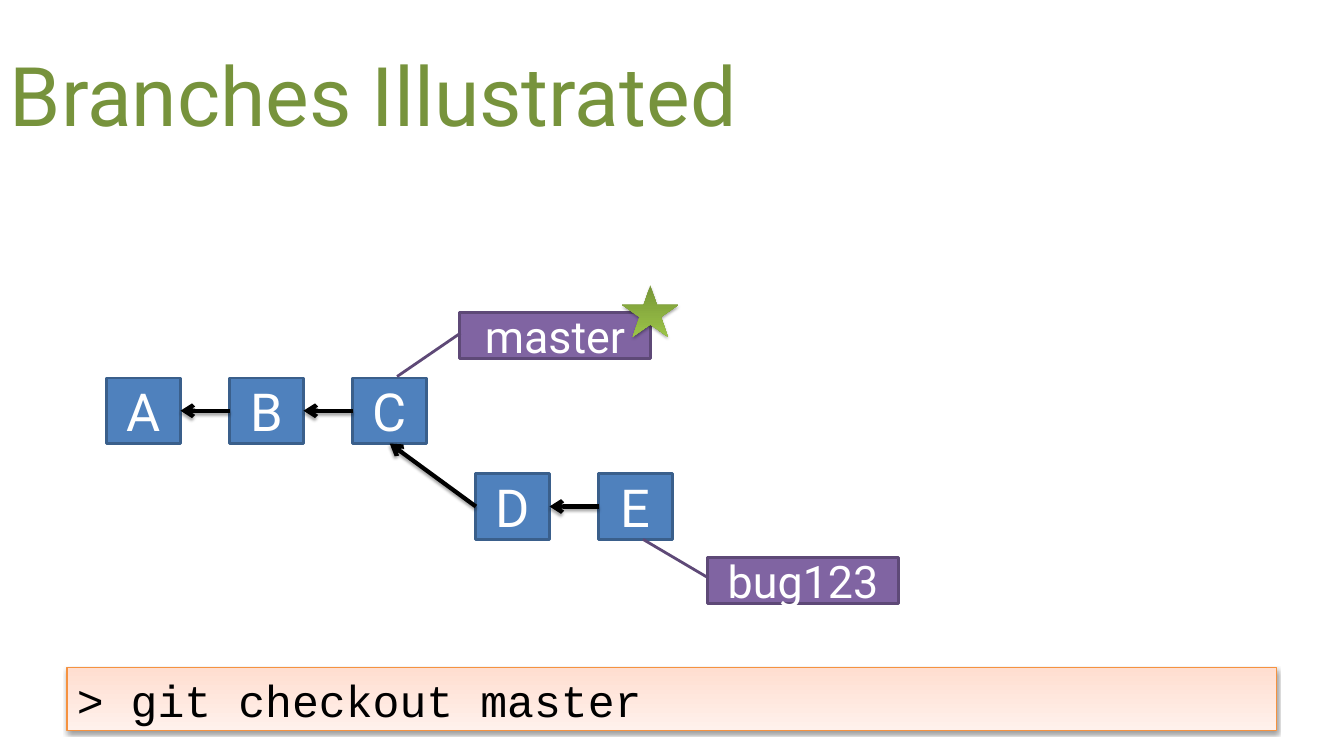
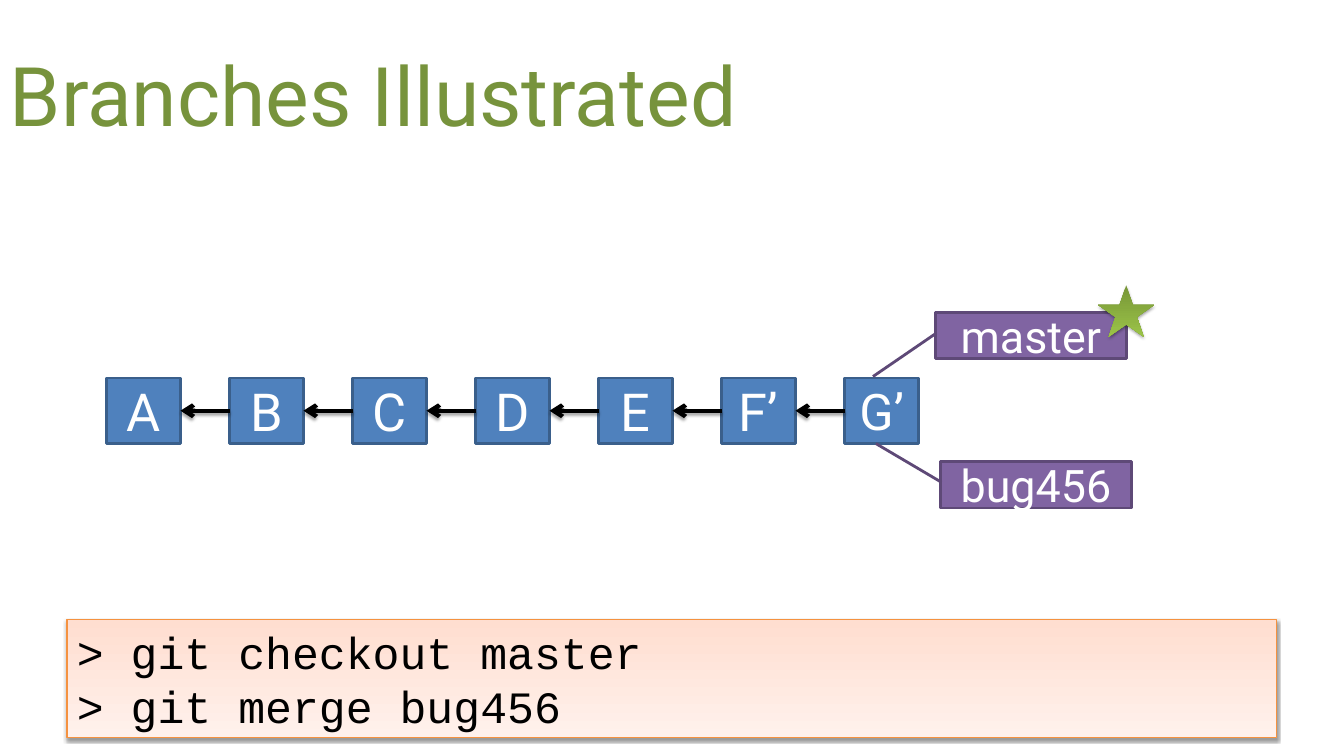
from lxml import etree
from pptx import Presentation
from pptx.dml.color import RGBColor
from pptx.enum.shapes import MSO_CONNECTOR, MSO_SHAPE
from pptx.enum.text import MSO_ANCHOR, PP_ALIGN
from pptx.oxml.ns import qn
from pptx.util import Inches, Pt

RECTANGLE = MSO_SHAPE.RECTANGLE
CALLOUT = MSO_SHAPE.LINE_CALLOUT_1
STAR = MSO_SHAPE.STAR_5_POINT
STRAIGHT = MSO_CONNECTOR.STRAIGHT
LEFT, CENTER = PP_ALIGN.LEFT, PP_ALIGN.CENTER
TOP, MIDDLE = MSO_ANCHOR.TOP, MSO_ANCHOR.MIDDLE
BOTTOM_SIDE, LEFT_SIDE, RIGHT_SIDE = 2, 1, 3

SLIDE_W, SLIDE_H = 13.33, 7.5
GREEN, WHITE, BLACK = "77933C", "FFFFFF", "000000"
COMMIT_FILL, COMMIT_LINE = "4F81BD", "3A5F8B"
BRANCH_FILL, BRANCH_LINE = "8064A2", "5E4977"
COMMAND_GRADIENT, COMMAND_LINE = ("FFDED0", "FFF1EC"), "F59240"
STAR_GRADIENT = ("779637", "9BC348")
BODY_FONT, CODE_FONT = "Roboto", "Courier New"

GRID_LEFT, GRID_TOP = 1.06, 3.75
COLUMN_STEP, ROW_STEP = 1.22, 0.95
COMMIT_W, COMMIT_H = 0.73, 0.65
BRANCH_W, BRANCH_H = 1.89, 0.46
STAR_W, STAR_H = 0.56, 0.51
COMMAND_W, COMMAND_LINE_H = 12, 0.54

# Callout line: start y, start x, end y, end x, as shares of the label's size
LINE_TO_COMMIT_BELOW = (0.446, 0.004, 1.383, -0.329)
LINE_TO_COMMIT_ABOVE = (0.446, 0.004, -0.389, -0.34)


def rgb(value):
    return RGBColor.from_string(value)


def column_left(column):
    return GRID_LEFT + column * COLUMN_STEP


def row_top(row):
    return GRID_TOP + row * ROW_STEP


def add_shadow(effects, distance, opacity):
    """Put a downward black shadow into an effect list."""
    shadow = etree.SubElement(
        effects, qn("a:outerShdw"), blurRad=str(Pt(2)), dist=str(Pt(distance)),
        dir="5400000", rotWithShape="0")
    color = etree.SubElement(shadow, qn("a:srgbClr"), val=BLACK)
    etree.SubElement(color, qn("a:alpha"), val=str(opacity * 1000))


def write(shape, text, size, color=WHITE, font=BODY_FONT, align=CENTER, anchor=MIDDLE):
    frame = shape.text_frame
    frame.word_wrap = True
    frame.vertical_anchor = anchor
    frame.text = text
    for paragraph in frame.paragraphs:
        paragraph.alignment = align
        paragraph.font.size = Pt(size)
        paragraph.font.name = font
        paragraph.font.color.rgb = rgb(color)


def add_box(slide, preset, left, top, width, height, fill, line=None, line_width=2,
            shadow=None):
    """Draw a preset shape; a pair of fill colours makes a vertical gradient."""
    box = slide.shapes.add_shape(
        preset, Inches(left), Inches(top), Inches(width), Inches(height))
    box.shadow.inherit = False
    if isinstance(fill, str):
        box.fill.solid()
        box.fill.fore_color.rgb = rgb(fill)
    else:
        box.fill.gradient()
        box.fill.gradient_angle = 270
        for stop, color in zip(box.fill.gradient_stops, fill):
            stop.color.rgb = rgb(color)
    if line:
        box.line.color.rgb = rgb(line)
        box.line.width = Pt(line_width)
    else:
        box.line.fill.background()
    if shadow:
        add_shadow(box._element.spPr.find(qn("a:effectLst")), *shadow)
    return box


def add_title(slide, text):
    title = slide.shapes.add_textbox(0, Inches(0.3), Inches(12), Inches(1.25))
    write(title, text, 58.7, color=GREEN, align=LEFT)


def add_commit(slide, name, column, row=0, size=37.4):
    commit = add_box(slide, RECTANGLE, column_left(column), row_top(row),
                     COMMIT_W, COMMIT_H, COMMIT_FILL, COMMIT_LINE)
    write(commit, name, size)
    return commit


def add_parent_arrow(slide, child, parent, parent_side=RIGHT_SIDE):
    arrow = slide.shapes.add_connector(STRAIGHT, 0, 0, 0, 0)
    arrow.begin_connect(child, LEFT_SIDE)
    arrow.end_connect(parent, parent_side)
    arrow.line.color.rgb = rgb(BLACK)
    arrow.line.width = Pt(3)
    etree.SubElement(arrow.line._get_or_add_ln(), qn("a:tailEnd"), type="arrow")
    effects = etree.SubElement(arrow._element.spPr, qn("a:effectLst"))
    add_shadow(effects, 1.8, 35)


def add_branch(slide, name, left, top, callout_line):
    branch = add_box(slide, CALLOUT, left, top, BRANCH_W, BRANCH_H,
                     BRANCH_FILL, BRANCH_LINE)
    for index, share in enumerate(callout_line):
        branch.adjustments[index] = share
    write(branch, name, 32)


def add_current_branch(slide, name, left):
    """Label above the first row, with a star on its top right corner."""
    top = row_top(0) - 0.65
    add_branch(slide, name, left, top, LINE_TO_COMMIT_BELOW)
    add_box(slide, STAR, left + BRANCH_W - STAR_W / 2, top - 0.27,
            STAR_W, STAR_H, STAR_GRADIENT, shadow=(1.8, 35))


def add_other_branch(slide, name, left, row):
    add_branch(slide, name, left, row_top(row) + 0.83, LINE_TO_COMMIT_ABOVE)


def add_commands(slide, top, commands):
    panel = add_box(slide, RECTANGLE, (SLIDE_W - COMMAND_W) / 2, top, COMMAND_W,
                    0.09 + COMMAND_LINE_H * len(commands), COMMAND_GRADIENT,
                    COMMAND_LINE, line_width=0.75, shadow=(1.6, 38))
    write(panel, "\n".join(commands), 32, color=BLACK, font=CODE_FONT,
          align=LEFT, anchor=TOP)


def add_chain(slide, commits):
    for parent, child in zip(commits, commits[1:]):
        add_parent_arrow(slide, child, parent)


def new_slide(deck):
    slide = deck.slides.add_slide(deck.slide_layouts[6])
    add_title(slide, "Branches Illustrated")
    return slide


def build_checkout(deck):
    slide = new_slide(deck)
    main_line = [add_commit(slide, name, column) for column, name in enumerate("ABC")]
    bug_line = [add_commit(slide, name, column, row=1)
                for column, name in enumerate("DE", start=3)]
    add_chain(slide, main_line)
    add_chain(slide, bug_line)
    add_parent_arrow(slide, bug_line[0], main_line[-1], BOTTOM_SIDE)
    add_current_branch(slide, "master", column_left(2) + 1.06)
    add_other_branch(slide, "bug123", column_left(4) + 1.08, row=1)
    add_commands(slide, 6.62, ["> git checkout master"])


def build_merge(deck):
    slide = new_slide(deck)
    names = ["A", "B", "C", "D", "E", "F’"]
    commits = [add_commit(slide, name, column) for column, name in enumerate(names)]
    commits.append(add_commit(slide, "G’", len(names), size=36))
    add_chain(slide, commits)
    add_current_branch(slide, "master", column_left(6) + 0.9)
    add_other_branch(slide, "bug456", column_left(6) + 0.95, row=0)
    add_commands(slide, 6.15, ["> git checkout master", "> git merge bug456"])


def main():
    deck = Presentation()
    deck.slide_width, deck.slide_height = Inches(SLIDE_W), Inches(SLIDE_H)
    build_checkout(deck)
    build_merge(deck)
    deck.save("out.pptx")


if __name__ == "__main__":
    main()
